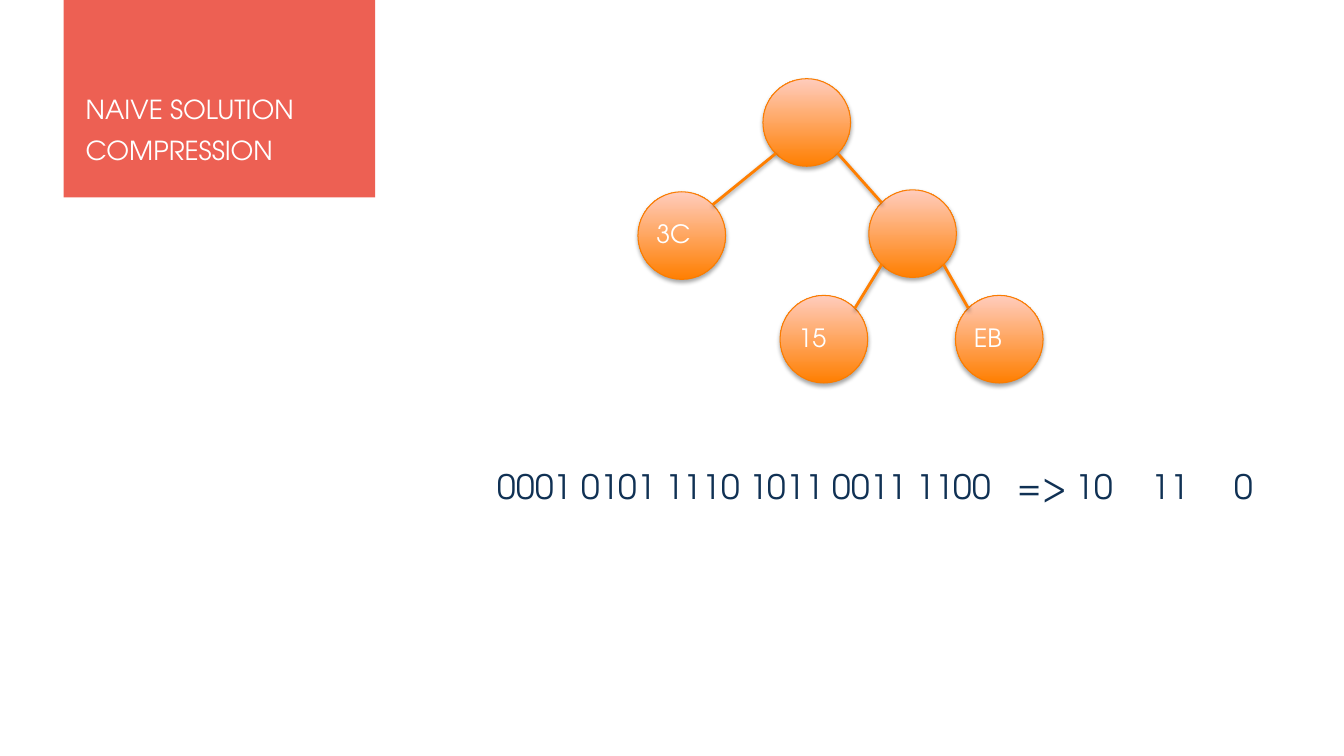
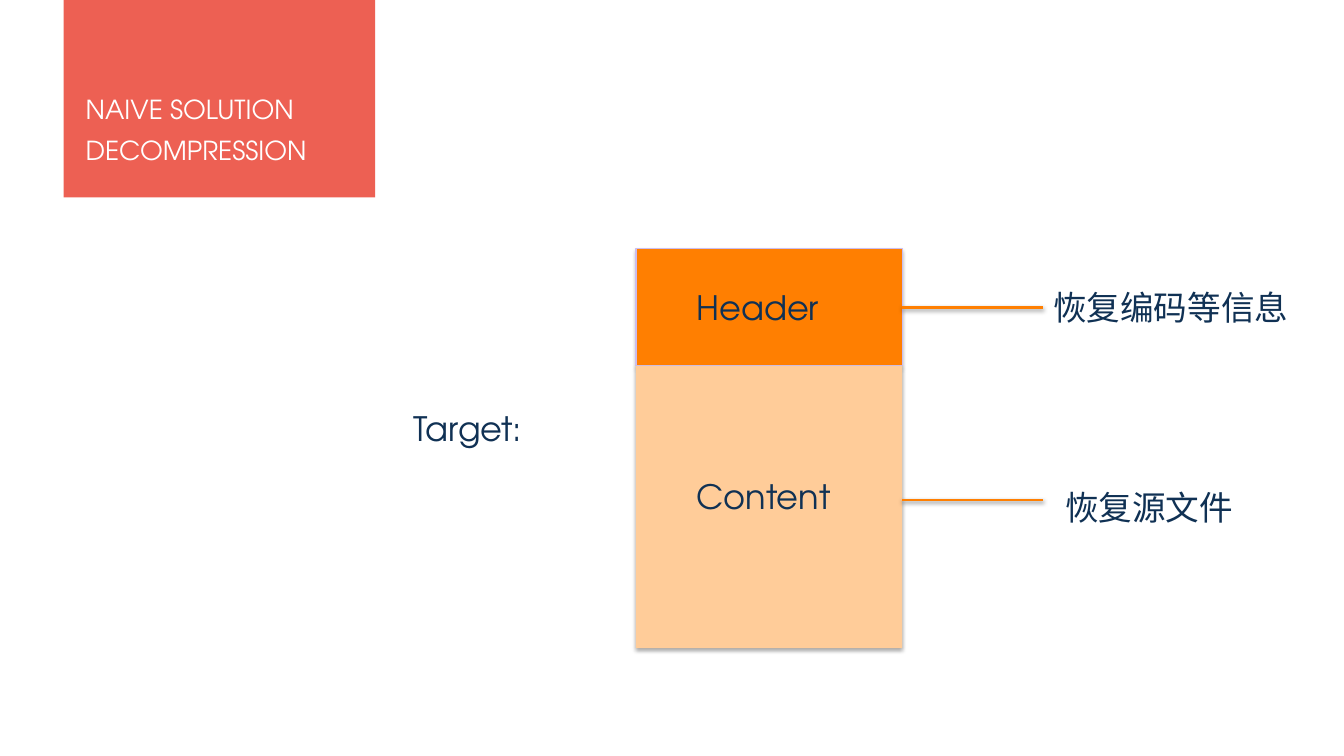
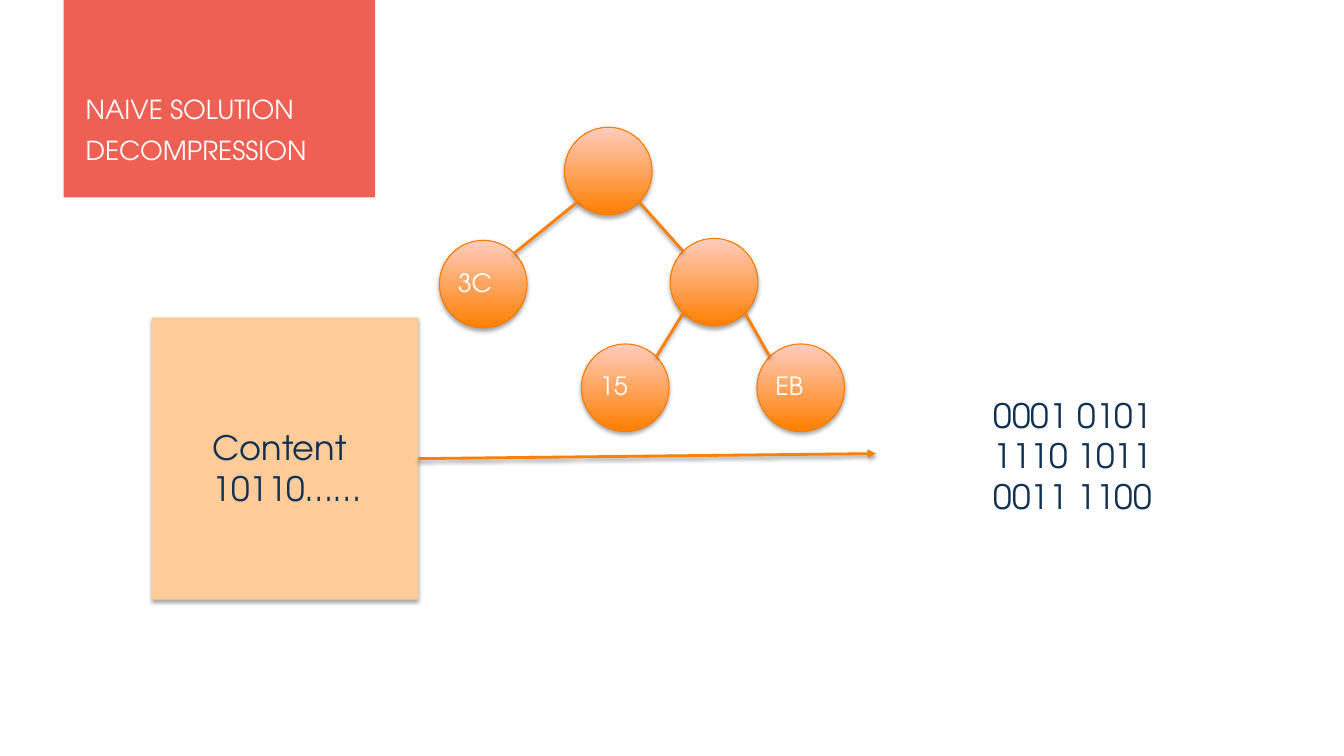
from dataclasses import dataclass
from math import sqrt

from lxml.etree import SubElement
from pptx import Presentation
from pptx.dml.color import RGBColor as Rgb
from pptx.enum.shapes import MSO_CONNECTOR as Connector, MSO_SHAPE as Preset
from pptx.enum.text import MSO_ANCHOR as Anchor, MSO_AUTO_SIZE as AutoSize, PP_ALIGN as Align
from pptx.oxml.ns import qn
from pptx.util import Pt


@dataclass(frozen=True)
class Theme:
    """Colours, font and type sizes of the deck."""
    font: str = "TeX Gyre Adventor"
    title_size: float = 18.7
    label_size: float = 18
    text_size: float = 24
    band: Rgb = Rgb(0xE9, 0x39, 0x29)
    band_opacity: int = 80
    white: Rgb = Rgb(0xFF, 0xFF, 0xFF)
    navy: Rgb = Rgb(0x10, 0x31, 0x54)
    orange: Rgb = Rgb(0xFF, 0x7F, 0x01)
    peach: Rgb = Rgb(0xFF, 0xCC, 0x99)
    node_light: Rgb = Rgb(0xFF, 0xCC, 0xBD)
    node_outline: Rgb = Rgb(0xFA, 0x7C, 0x00)
    header_outline: Rgb = Rgb(0xCD, 0xBD, 0xED)


THEME = Theme()
TITLE_ONLY = 5
NODE = 62.6
BLOCK_WIDTH, HEADER_HEIGHT, CONTENT_HEIGHT = 190.1, 83.6, 201.6

# Offset of each node from the root, and its label
TREE_NODES = {
    "right": (75.6, 79.4, ""),
    "root": (0, 0, ""),
    "15": (12.2, 154.8, "15"),
    "EB": (137.5, 154.8, "EB"),
    "3C": (-89.3, 80.8, "3C"),
}
TREE_EDGES = [("root", "3C"), ("root", "right"), ("right", "15"), ("right", "EB")]


def points(*lengths):
    """Turn plain numbers into lengths in points."""
    return [Pt(length) for length in lengths]


def write(frame, text, *, size=THEME.text_size, color=THEME.navy, spacing=None, tabs=()):
    """Fill a text frame with one paragraph per line of text."""
    frame.word_wrap = True
    frame.auto_size = AutoSize.NONE
    frame.vertical_anchor = Anchor.TOP
    for index, line in enumerate(text.split("\n")):
        paragraph = frame.add_paragraph() if index else frame.paragraphs[0]
        paragraph.alignment = Align.LEFT
        if spacing:
            paragraph.line_spacing = spacing
        run = paragraph.add_run()
        run.text = line
        run.font.name = THEME.font
        run.font.size = Pt(size)
        run.font.color.rgb = color
        if tabs:
            stops = SubElement(paragraph._p.get_or_add_pPr(), qn("a:tabLst"))
            for stop in tabs:
                SubElement(stops, qn("a:tab"), pos=str(Pt(stop)), algn="l")


def add_text(slide, text, left, top, width, height=36, **text_format):
    """Add a text box."""
    box = slide.shapes.add_textbox(*points(left, top, width, height))
    write(box.text_frame, text, **text_format)


def cast_shadow(shape, opacity, distance):
    """Give a shape or connector a soft shadow straight below it."""
    effects = SubElement(shape.element.spPr, qn("a:effectLst"))
    shadow = SubElement(effects, qn("a:outerShdw"), blurRad=str(Pt(3.1)),
                        dist=str(Pt(distance)), dir="5400000", rotWithShape="0")
    black = SubElement(shadow, qn("a:srgbClr"), val="000000")
    SubElement(black, qn("a:alpha"), val=str(opacity * 1000))


def outline(shape, color):
    """Draw a thin outline, or none."""
    if color is None:
        shape.line.fill.background()
    else:
        shape.line.color.rgb = color
        shape.line.width = Pt(0.75)


def add_block(slide, left, top, height, color, edge=None):
    """Add one part of the file diagram."""
    block = slide.shapes.add_shape(Preset.RECTANGLE, *points(left, top, BLOCK_WIDTH, height))
    block.fill.solid()
    block.fill.fore_color.rgb = color
    outline(block, edge)
    cast_shadow(block, 35, 1.8)


def add_link(slide, start, end, arrow=False):
    """Connect two points, with an arrowhead at the end if wanted."""
    link = slide.shapes.add_connector(Connector.STRAIGHT, *points(*start, *end))
    link.line.color.rgb = THEME.orange
    link.line.width = Pt(2)
    if arrow:
        SubElement(link.line._get_or_add_ln(), qn("a:tailEnd"), type="triangle")
    cast_shadow(link, 38, 1.6)


def add_node(slide, left, top, label):
    """Add a tree node and its label."""
    node = slide.shapes.add_shape(Preset.OVAL, *points(left, top, NODE, NODE))
    node.fill.gradient()
    node.fill.gradient_angle = 90
    for stop, color in zip(node.fill.gradient_stops, (THEME.orange, THEME.node_light)):
        stop.color.rgb = color
    outline(node, THEME.node_outline)
    cast_shadow(node, 35, 1.8)
    if label:
        add_text(slide, label, left + 6, top + 15.4, 79,
                 size=THEME.label_size, color=THEME.white)


def add_tree(slide, left, top):
    """Add the code tree with its root at the given corner."""
    corners = {}
    for name, (right, down, label) in TREE_NODES.items():
        corners[name] = (left + right, top + down)
        add_node(slide, *corners[name], label)
    near = NODE / 2 * (1 - 1 / sqrt(2))
    far = NODE - near
    for parent, child in TREE_EDGES:
        (parent_x, parent_y), (child_x, child_y) = corners[parent], corners[child]
        leaving, entering = (near, far) if child_x < parent_x else (far, near)
        add_link(slide, (parent_x + leaving, parent_y + far),
                 (child_x + entering, child_y + near))


def add_titled_slide(deck, topic):
    """Add a slide with the title on its red band."""
    slide = deck.slides.add_slide(deck.slide_layouts[TITLE_ONLY])
    band = slide.shapes.add_shape(Preset.RECTANGLE, *points(45.4, 0, 222.5, 141.1))
    band.shadow.inherit = False
    band.fill.solid()
    band.fill.fore_color.rgb = THEME.band
    tint = band.element.spPr.find(".//" + qn("a:srgbClr"))
    SubElement(tint, qn("a:alpha"), val=str(THEME.band_opacity * 1000))
    outline(band, None)
    title = slide.shapes.title
    title.left, title.top, title.width, title.height = points(54, 56.2, 195.1, 66.2)
    write(title.text_frame, "NAIVE SOLUTION\n" + topic,
          size=THEME.title_size, color=THEME.white, spacing=1.3)
    title.element.addprevious(band.element)
    return slide


def build_compression(deck):
    """Show the code tree and the bits it shortens."""
    slide = add_titled_slide(deck, "COMPRESSION")
    add_tree(slide, 545, 56.2)
    add_text(slide, "0001 0101 1110 1011 0011 1100\t=> 10\t11\t0", 348.5, 329, 562.3,
             tabs=(371.5, 467, 526))


def build_file_layout(deck):
    """Show what each part of the target file restores."""
    slide = add_titled_slide(deck, "DECOMPRESSION")
    left, top = 454.3, 177.8
    add_block(slide, left, top, HEADER_HEIGHT, THEME.orange, THEME.header_outline)
    add_block(slide, left, top + HEADER_HEIGHT, CONTENT_HEIGHT, THEME.peach)
    add_text(slide, "Header", left + 36, 201.6, 118.8)
    add_text(slide, "Content", left + 36, 336.2, 118.8)
    add_text(slide, "Target:", 288, 288, 118.8)
    for link_y in (219.6, 357.1):
        add_link(slide, (left + BLOCK_WIDTH, link_y), (745.2, link_y))
    add_text(slide, "恢复编码等信息", 745.2, 201.6, 185)
    add_text(slide, "恢复源文件", 753.8, 344.2, 191.5)


def build_decoding(deck):
    """Show the content decoded through the tree."""
    slide = add_titled_slide(deck, "DECOMPRESSION")
    left, top = 108.7, 226.8
    add_block(slide, left, top, CONTENT_HEIGHT, THEME.peach)
    add_text(slide, "Content\n10110……", left + 36, 301.7, 143.3, 94.3)
    add_link(slide, (left + BLOCK_WIDTH, 327.6), (625.7, 324), arrow=True)
    add_tree(slide, 403.2, 90.9)
    add_text(slide, "0001 0101 1110 1011 0011 1100", 702.7, 278.6, 161.3, 94.3)


def main():
    """Build and save the deck."""
    deck = Presentation()
    deck.slide_width, deck.slide_height = points(960, 540)
    build_compression(deck)
    build_file_layout(deck)
    build_decoding(deck)
    deck.save("out.pptx")


main()
